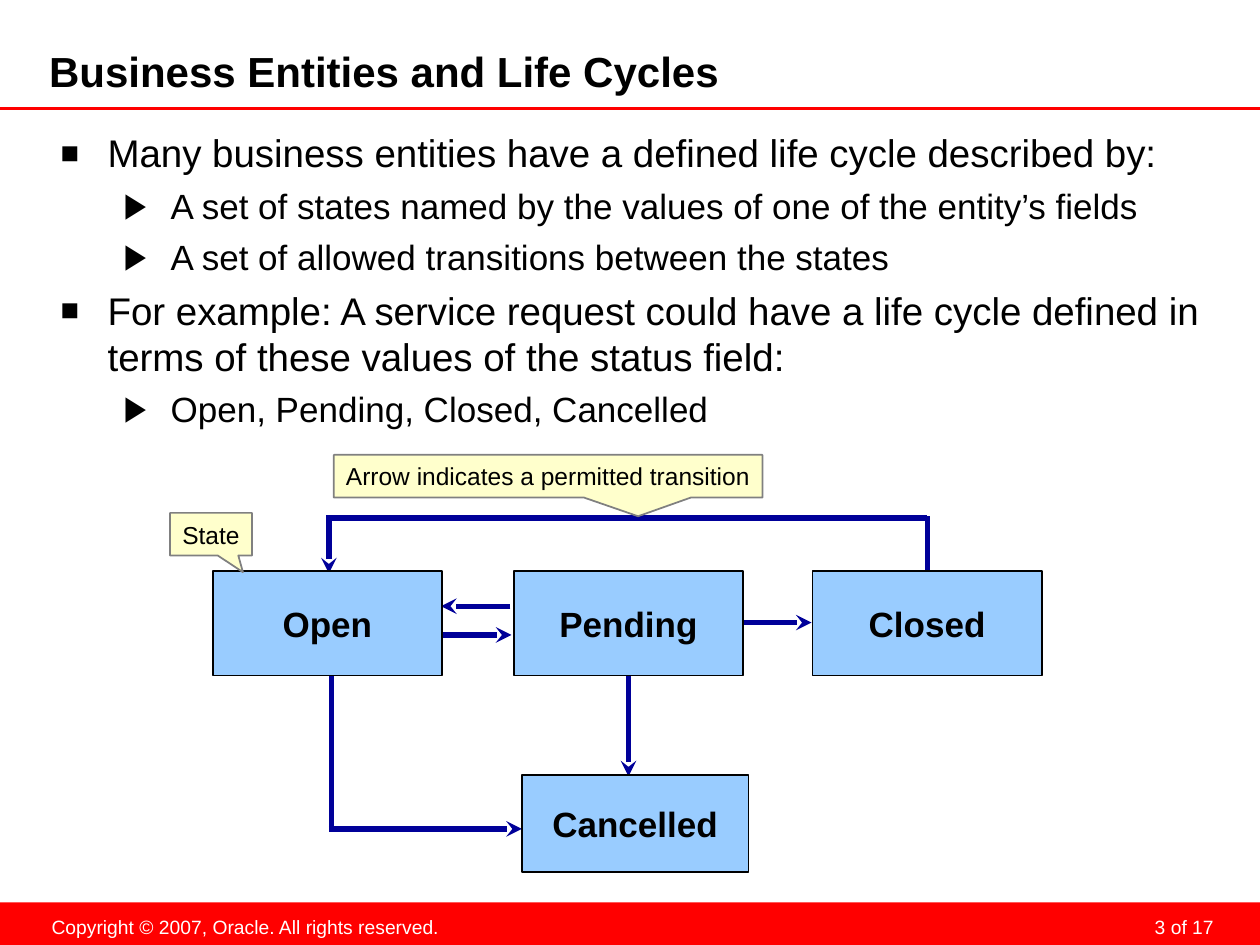
"""Builds a slide on business entities and their life cycles, with a state diagram."""
from lxml import etree
from pptx import Presentation
from pptx import util as u
from pptx.dml import color
from pptx.enum import shapes, text
from pptx.oxml import ns


def rgb(value):
    return color.RGBColor.from_string(value)


def write(frame, words, size=20, ink="000000", bold=False, align="CENTER",
          anchor="MIDDLE", insets=(0.25, 0.13, 0.25, 0.13), wrap=True,
          bullet=None, before=0, new=False):
    frame.auto_size = text.MSO_AUTO_SIZE.NONE
    frame.word_wrap = wrap
    frame.vertical_anchor = getattr(text.MSO_ANCHOR, anchor)
    (frame.margin_left, frame.margin_top,
     frame.margin_right, frame.margin_bottom) = [u.Cm(i) for i in insets]
    paragraph = frame.add_paragraph() if new else frame.paragraphs[0]
    if bullet:
        mark, percent, margin = bullet
        props = paragraph._p.get_or_add_pPr()
        props.set("marL", str(u.Cm(margin)))
        props.set("indent", str(-u.Cm(0.95)))
        tint = etree.SubElement(props, ns.qn("a:buClr"))
        etree.SubElement(tint, ns.qn("a:srgbClr"), val="000000")
        etree.SubElement(props, ns.qn("a:buSzPct"), val=str(percent * 1000))
        etree.SubElement(props, ns.qn("a:buFont"), typeface="Arial")
        etree.SubElement(props, ns.qn("a:buChar"), char=mark)
    paragraph.alignment = getattr(text.PP_ALIGN, align)
    paragraph.space_before = u.Pt(before)
    run = paragraph.add_run()
    run.text = words
    run.font.name = "Arial"
    run.font.size = u.Pt(size)
    run.font.bold = bold
    run.font.color.rgb = rgb(ink)


deck = Presentation()
deck.slide_width, deck.slide_height = u.Cm(25.4), u.Cm(19.05)
slide = deck.slides.add_slide(deck.slide_layouts[1])
canvas = slide.shapes

footer = canvas.add_shape(shapes.MSO_SHAPE.RECTANGLE, u.Cm(0), u.Cm(18.19), u.Cm(25.4), u.Cm(0.86))
footer.shadow.inherit = False
footer.fill.solid()
footer.fill.fore_color.rgb = rgb("FF0000")
footer.line.fill.background()
for words, left, width, align in [
    ("Copyright © 2007, Oracle. All rights reserved.", 0.79, 9, "LEFT"),
    ("3 of 17", 18.69, 6.03, "RIGHT"),
]:
    note = canvas.add_textbox(u.Cm(left), u.Cm(18.31), u.Cm(width), u.Cm(0.74))
    write(note.text_frame, words, size=11, ink="FFFFFF", align=align)

title = canvas.title
title.left, title.top, title.width, title.height = u.Cm(0.99), u.Cm(0.97), u.Cm(19.99), u.Cm(1.02)
write(title.text_frame, "Business Entities and Life Cycles", size=24, bold=True,
      align="LEFT", insets=(0, 0, 0.13, 0.13))

body = slide.placeholders[1]
body.left, body.top, body.width, body.height = u.Cm(0.97), u.Cm(2.36), u.Cm(23.62), u.Cm(15.7)
points = [
    (0, "Many business entities have a defined life cycle described by:"),
    (1, "A set of states named by the values of one of the entity’s fields"),
    (1, "A set of allowed transitions between the states"),
    (0, "For example: A service request could have a life cycle defined in "
        "terms of these values of the status field:"),
    (1, "Open, Pending, Closed, Cancelled"),
]
levels = [(22, 5.5, ("■", 80, 0.95)), (20, 5, ("▶", 100, 2.22))]
for number, (level, words) in enumerate(points):
    size, before, bullet = levels[level]
    write(body.text_frame, words, size=size, align="LEFT", anchor="TOP",
          insets=(0.25, 0.25, 0.25, 0.13), bullet=bullet,
          before=before if number else 0, new=number > 0)
    body.text_frame.paragraphs[-1].level = level

transitions = [
    (0, 2.18, 25.4, 2.18, "FF0000", 1.75, False),
    (6.63, 10.39, 6.63, 11.56, "000099", 3, True),
    (6.63, 10.44, 18.69, 10.44, "000099", 3, False),
    (18.69, 10.41, 18.69, 11.51, "000099", 3, False),
    (8.92, 12.8, 10.31, 12.8, "000099", 3, True),
    (10.29, 12.22, 8.89, 12.22, "000099", 3, True),
    (14.96, 12.55, 16.36, 12.55, "000099", 3, True),
    (12.67, 13.51, 12.67, 15.65, "000099", 3, True),
    (6.68, 13.59, 6.68, 16.76, "000099", 3, False),
    (6.63, 16.71, 10.52, 16.71, "000099", 3, True),
]
for x1, y1, x2, y2, ink, weight, arrow in transitions:
    transition = canvas.add_connector(shapes.MSO_CONNECTOR.STRAIGHT, u.Cm(x1), u.Cm(y1), u.Cm(x2), u.Cm(y2))
    transition.line.color.rgb = rgb(ink)
    transition.line.width = u.Pt(weight)
    if arrow:
        etree.SubElement(transition.line._get_or_add_ln(), ns.qn("a:tailEnd"), type="stealth")
    etree.SubElement(transition._element.spPr, ns.qn("a:effectLst"))

state_look = ("RECTANGLE", "99CCFF", "000000", 20, True)
callout_look = ("RECTANGULAR_CALLOUT", "FFFFCC", "808080", 14, False)
diagram = [
    ("Open", 4.29, 11.51, 4.62, 2.11, state_look, ()),
    ("Pending", 10.36, 11.51, 4.62, 2.11, state_look, ()),
    ("Closed", 16.38, 11.51, 4.62, 2.11, state_look, ()),
    ("Cancelled", 10.52, 15.62, 4.57, 1.96, state_look, ()),
    ("Arrow indicates a permitted transition", 6.73, 9.17, 8.64, 0.86, callout_look, (0.21, 0.94)),
    ("State", 3.43, 10.34, 1.65, 0.86, callout_look, (0.39, 0.89)),
]
for words, left, top, width, height, look, pointer in diagram:
    outline, fill, edge, size, bold = look
    node = canvas.add_shape(getattr(shapes.MSO_SHAPE, outline), u.Cm(left), u.Cm(top), u.Cm(width), u.Cm(height))
    node.shadow.inherit = False
    node.fill.solid()
    node.fill.fore_color.rgb = rgb(fill)
    node.line.color.rgb = rgb(edge)
    node.line.width = u.Pt(1)
    for index, offset in enumerate(pointer):
        node.adjustments[index] = offset
    write(node.text_frame, words, size=size, bold=bold, wrap=False)

deck.save("out.pptx")
